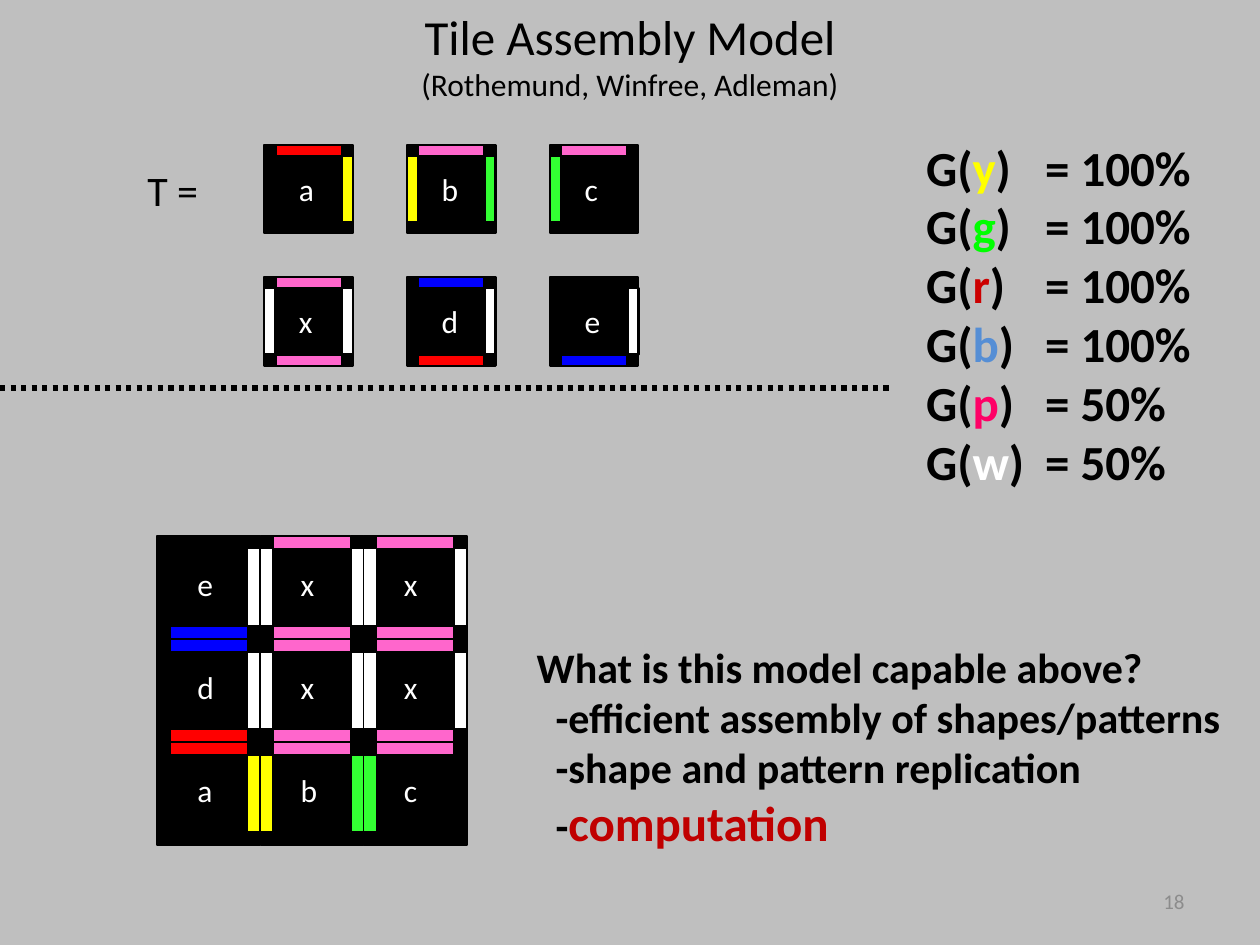
from dataclasses import dataclass
from typing import NamedTuple, Optional

from lxml.etree import SubElement
from pptx import Presentation
from pptx.dml.color import RGBColor
from pptx.enum.dml import MSO_LINE
from pptx.enum.shapes import MSO_CONNECTOR, MSO_SHAPE as SHAPE
from pptx.enum.text import MSO_ANCHOR as ANCHOR, PP_ALIGN as ALIGN
from pptx.oxml.ns import qn
from pptx.util import Cm, Pt


@dataclass(frozen=True)
class Theme:
    font: str = "Calibri"
    back: str = "BFBFBF"
    ink: str = "000000"
    white: str = "FFFFFF"
    yellow: str = "FFFF00"
    green: str = "33FF33"
    red: str = "FF0000"
    blue: str = "0000FF"
    pink: str = "FF66CC"
    accent: str = "C00000"
    muted: str = "8C8C8C"
    large: int = 28
    body: int = 24
    small: int = 18
    footer: int = 12


T = Theme()


class Run(NamedTuple):
    text: str
    size: int = T.body
    color: str = T.ink
    bold: bool = False


class Tile(NamedTuple):
    """Glue colours on the four sides of a tile."""
    north: Optional[str] = None
    east: Optional[str] = None
    south: Optional[str] = None
    west: Optional[str] = None


class Glue(NamedTuple):
    letter: str
    color: str
    strength: str


class Grid(NamedTuple):
    """Rows of tile letters, with lengths in centimetres."""
    rows: tuple
    left: float
    top: float
    side: float
    dx: float
    dy: float
    line: float


TILES = {
    "a": Tile(north=T.red, east=T.yellow),
    "b": Tile(north=T.pink, east=T.green, west=T.yellow),
    "c": Tile(north=T.pink, west=T.green),
    "d": Tile(north=T.blue, east=T.white, south=T.red),
    "e": Tile(east=T.white, south=T.blue),
    "x": Tile(T.pink, T.white, T.pink, T.white),
}
TILE_SET = Grid(("abc", "xde"), 5.33, 2.92, 1.78, 2.88, 2.67, 1.25)
ASSEMBLY = Grid(("exx", "dxx", "abc"), 3.17, 10.8, 2.08, 2.08, 2.08, 1)
GLUES = (
    Glue("y", "FFFF00", "100%"),
    Glue("g", "00FF00", "100%"),
    Glue("r", "CC0000", "100%"),
    Glue("b", "558ED5", "100%"),
    Glue("p", "FF0066", "50%"),
    Glue("w", "FFFFFF", "50%"),
)


def add_run(p, run: Run) -> None:
    r = p.add_run()
    r.text = run.text
    r.font.name = T.font
    r.font.size = Pt(run.size)
    r.font.bold = run.bold
    r.font.color.rgb = RGBColor.from_string(run.color)


def add_text(shapes, box: tuple, paragraphs: list, align=ALIGN.LEFT,
             anchor=ANCHOR.TOP, inset: bool = True):
    tf = shapes.add_textbox(*map(Cm, box)).text_frame
    tf.word_wrap = True
    tf.vertical_anchor = anchor
    if not inset:
        tf.margin_left = tf.margin_right = tf.margin_top = tf.margin_bottom = 0
    for i, runs in enumerate(paragraphs):
        p = tf.add_paragraph() if i else tf.paragraphs[0]
        p.alignment = align
        for run in runs:
            add_run(p, run)
    return tf


def add_rect(shapes, box: tuple, color: str, line: float) -> None:
    s = shapes.add_shape(SHAPE.RECTANGLE, *map(Cm, box))
    s.shadow.inherit = False
    s.fill.solid()
    s.fill.fore_color.rgb = RGBColor.from_string(color)
    s.line.color.rgb = RGBColor.from_string(T.ink)
    s.line.width = Pt(line)


def add_tile(shapes, letter: str, x: float, y: float, side: float, line: float) -> None:
    add_rect(shapes, (x, y, side, side), T.ink, line)
    thick = side / 8
    length, far = side - 2 * thick, side - thick
    bars = Tile(
        north=(x + thick, y, length, thick),
        east=(x + far, y + thick, thick, length),
        south=(x + thick, y + far, length, thick),
        west=(x, y + thick, thick, length),
    )
    for color, bar in zip(TILES[letter], bars):
        if color:
            add_rect(shapes, bar, color, line)
    add_text(shapes, (x + 0.39 * side, y + 0.28 * side, 0.6, 0.8),
             [[Run(letter, T.small, T.white)]], inset=False)


def add_grid(shapes, grid: Grid) -> None:
    group = shapes.add_group_shape().shapes
    for j, row in enumerate(grid.rows):
        for i, letter in enumerate(row):
            add_tile(group, letter, grid.left + i * grid.dx,
                     grid.top + j * grid.dy, grid.side, grid.line)


def add_divider(shapes, y: float, right: float) -> None:
    s = shapes.add_connector(MSO_CONNECTOR.STRAIGHT, 0, Cm(y), Cm(right), Cm(y))
    s.line.color.rgb = RGBColor.from_string(T.ink)
    s.line.width = Pt(3)
    s.line.dash_style = MSO_LINE.ROUND_DOT
    SubElement(s._element.spPr, qn("a:effectLst"))


def set_tab(p, pos: float) -> None:
    tabs = SubElement(p._p.get_or_add_pPr(), qn("a:tabLst"))
    SubElement(tabs, qn("a:tab"), pos=str(int(Cm(pos))), algn="l")


def main() -> None:
    prs = Presentation()
    prs.slide_width, prs.slide_height = Cm(25.4), Cm(19.05)
    slide = prs.slides.add_slide(prs.slide_layouts[6])
    slide.background.fill.solid()
    slide.background.fill.fore_color.rgb = RGBColor.from_string(T.back)
    shapes = slide.shapes

    # Title and slide number
    add_text(shapes, (0, 0, 25.4, 3.48),
             [[Run("Tile Assembly Model", T.large)],
              [Run("(Rothemund, Winfree, Adleman)", T.small)]], ALIGN.CENTER)
    add_text(shapes, (18.2, 17.65, 5.93, 1.02),
             [[Run("18", T.footer, T.muted)]], ALIGN.RIGHT, ANCHOR.MIDDLE)

    # Tile set above the divider, assembled square below
    add_text(shapes, (2.72, 3.2, 2.24, 1.27), [[Run("T =")]])
    add_grid(shapes, TILE_SET)
    add_divider(shapes, 7.82, 17.98)
    add_grid(shapes, ASSEMBLY)

    # Glue strengths, with the values lined up on a tab
    tf = add_text(shapes, (18.42, 2.64, 6.98, 7.44), [
        [Run("G(", T.large, bold=True),
         Run(g.letter, T.large, g.color, True),
         Run(f")\t= {g.strength}", T.large, bold=True)] for g in GLUES])
    for p in tf.paragraphs:
        set_tab(p, 2.4)

    # Capabilities of the model, indented under the question
    tf = add_text(shapes, (10.57, 12.8, 14.7, 5.2), [
        [Run("What is this model capable above?", bold=True)],
        [Run("-efficient assembly of shapes/patterns", bold=True)],
        [Run("-shape and pattern replication", bold=True)],
        [Run("-", bold=True), Run("computation", T.large, T.accent, True)]])
    for p in tf.paragraphs[1:]:
        p._p.get_or_add_pPr().set("marL", str(int(Cm(0.38))))

    prs.save("out.pptx")


if __name__ == "__main__":
    main()
